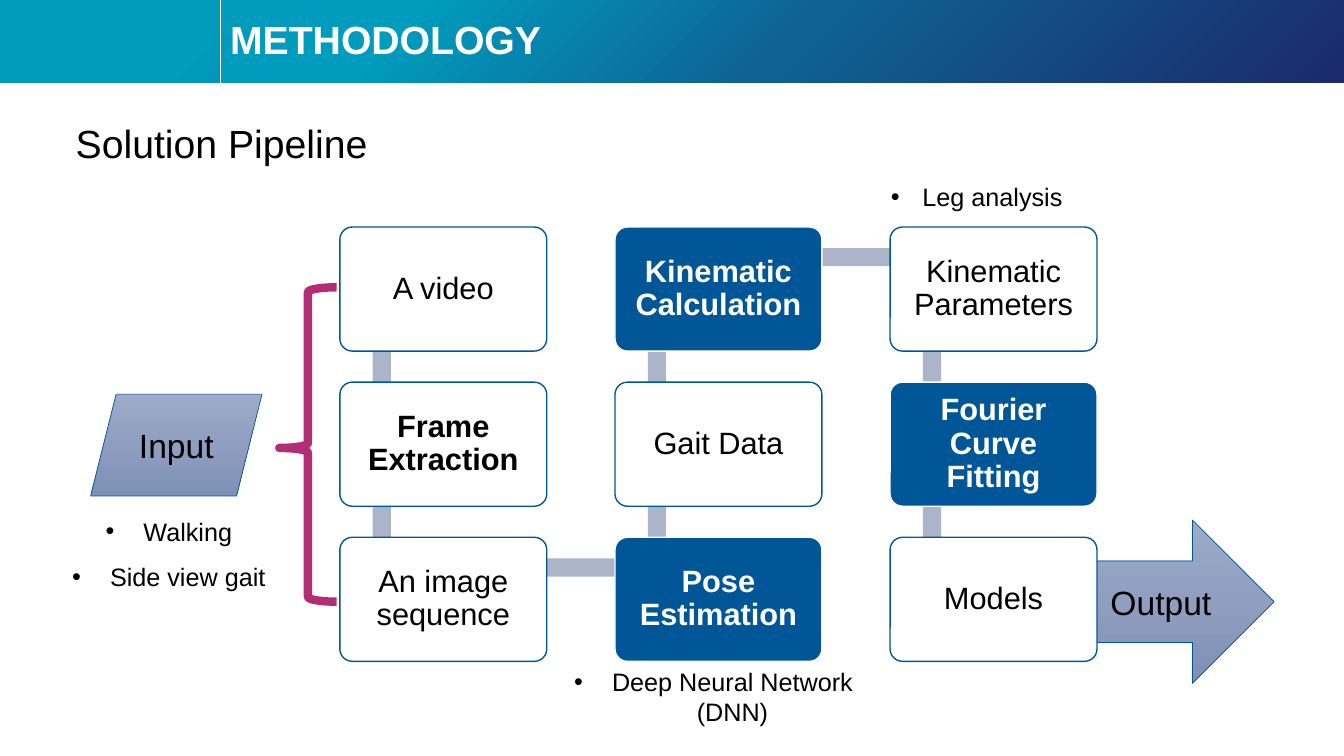
import pptx
import pptx.dml.color
import pptx.enum.shapes
import pptx.enum.text
import pptx.oxml
import pptx.oxml.ns
import pptx.util
from dataclasses import dataclass

Pt = pptx.util.Pt
SHAPE = pptx.enum.shapes.MSO_SHAPE
ALIGN = pptx.enum.text.PP_ALIGN
ANCHOR = pptx.enum.text.MSO_ANCHOR


@dataclass(frozen=True)
class Theme:
    font: str = "Arial"
    white: str = "FFFFFF"
    black: str = "000000"
    blue: str = "005697"
    pipe: str = "ABB4C9"
    brace: str = "B32C76"
    banner: tuple = ((17, "009BBD"), (50, "0E6394"), (100, "1B2A6B"))
    terminal: tuple = ((0, "9DABC9"), (50, "909FBF"), (100, "7C8FB6"))
    heading_size: int = 28
    terminal_size: int = 24
    card_size: int = 22
    note_size: int = 18


THEME = Theme()

SLIDE_WIDTH, SLIDE_HEIGHT = 960, 540
BANNER_HEIGHT, BANNER_SPLIT = 59, 157.3

GRID_LEFT, GRID_TOP = 242.8, 162.2
COLUMN_PITCH, ROW_PITCH = 196.5, 110.8
CARD_WIDTH, CARD_HEIGHT = 147.8, 88.6
ROWS = 3
PIPE_WIDTH = 13

# Steps in pipeline order; the flag marks a filled card, the next one bold text.
STEPS = (
    ("A video", False, False),
    ("Frame Extraction", False, True),
    ("An image sequence", False, False),
    ("Pose Estimation", True, True),
    ("Gait Data", False, False),
    ("Kinematic Calculation", True, True),
    ("Kinematic Parameters", False, False),
    ("Fourier Curve Fitting", True, True),
    ("Models", False, False),
)


def rgb(color):
    return pptx.dml.color.RGBColor.from_string(color)


def add_shape(slide, kind, frame, fill=None, line=None, line_width=1.0):
    shape = slide.shapes.add_shape(kind, *(Pt(length) for length in frame))
    shape.shadow.inherit = False
    if fill:
        shape.fill.solid()
        shape.fill.fore_color.rgb = rgb(fill)
    else:
        shape.fill.background()
    if line:
        shape.line.color.rgb = rgb(line)
        shape.line.width = Pt(line_width)
    else:
        shape.line.fill.background()
    return shape


def apply_gradient(shape, stops, angle):
    """Fill with (percent, colour) stops along a clockwise angle in degrees."""
    stop_xml = "".join(
        f'<a:gs pos="{percent * 1000}"><a:srgbClr val="{color}"/></a:gs>'
        for percent, color in stops
    )
    gradient = pptx.oxml.parse_xml(
        f'<a:gradFill {pptx.oxml.ns.nsdecls("a")} rotWithShape="1">'
        f'<a:gsLst>{stop_xml}</a:gsLst>'
        f'<a:lin ang="{angle * 60000}" scaled="0"/></a:gradFill>'
    )
    properties = shape.element.spPr
    properties.replace(properties.find(pptx.oxml.ns.qn("a:noFill")), gradient)


def write_text(shape, text, size, color=THEME.black, bold=False,
               align=ALIGN.CENTER, anchor=ANCHOR.MIDDLE, spacing=1.0):
    frame = shape.text_frame
    frame.word_wrap = True
    frame.vertical_anchor = anchor
    frame.text = text
    for para in frame.paragraphs:
        para.alignment = align
        para.line_spacing = spacing
        for span in para.runs:
            span.font.name = THEME.font
            span.font.size = Pt(size)
            span.font.bold = bold
            span.font.color.rgb = rgb(color)


def add_text(slide, frame, text, size, **style):
    box = slide.shapes.add_textbox(*(Pt(length) for length in frame))
    write_text(box, text, size, **style)
    return box


def add_bullets(slide, frame, lines, indent, align=ALIGN.CENTER, spacing=1.0):
    box = add_text(slide, frame, "\n".join(lines), THEME.note_size,
                   align=align, anchor=ANCHOR.TOP, spacing=spacing)
    for para in box.text_frame.paragraphs:
        properties = para._p.get_or_add_pPr()
        properties.set("marL", str(Pt(indent)))
        properties.set("indent", str(-Pt(indent)))
        for bullet in ('<a:buFont {} typeface="Arial"/>', '<a:buChar {} char="•"/>'):
            properties.append(
                pptx.oxml.parse_xml(bullet.format(pptx.oxml.ns.nsdecls("a"))))


def add_terminal(slide, kind, frame, text):
    terminal = add_shape(slide, kind, frame, line=THEME.blue, line_width=0.5)
    apply_gradient(terminal, THEME.terminal, 90)
    write_text(terminal, text, THEME.terminal_size)


def add_banner(slide):
    for left in (0, BANNER_SPLIT):
        band = add_shape(slide, SHAPE.RECTANGLE,
                         (left, 0, SLIDE_WIDTH - left, BANNER_HEIGHT))
        apply_gradient(band, THEME.banner, 45)
    divider = slide.shapes.add_connector(
        pptx.enum.shapes.MSO_CONNECTOR.STRAIGHT,
        Pt(BANNER_SPLIT), Pt(0), Pt(BANNER_SPLIT), Pt(70.5))
    divider.line.color.rgb = rgb(THEME.white)
    divider.line.width = Pt(0.5)
    divider.element.spPr.append(
        pptx.oxml.parse_xml(f'<a:effectLst {pptx.oxml.ns.nsdecls("a")}/>'))
    add_text(slide, (BANNER_SPLIT, 2, SLIDE_WIDTH - BANNER_SPLIT, 55), "METHODOLOGY",
             THEME.heading_size, color=THEME.white, bold=True,
             align=ALIGN.LEFT, spacing=0.9)


def card_corner(index):
    """Left and top of a step: down one column, up the next."""
    column, row = divmod(index, ROWS)
    if column % 2:
        row = ROWS - 1 - row
    return GRID_LEFT + column * COLUMN_PITCH, GRID_TOP + row * ROW_PITCH


def add_pipe(slide, index):
    """Link a step to the next one with a bar passing behind both cards."""
    left, top = card_corner(index)
    next_left, next_top = card_corner(index + 1)
    if left == next_left:
        frame = (left + 23.4, min(top, next_top) + 22, PIPE_WIDTH, ROW_PITCH)
    else:
        frame = (left + 30, top + 15, COLUMN_PITCH, PIPE_WIDTH)
    add_shape(slide, SHAPE.RECTANGLE, frame, THEME.pipe)


def add_card(slide, index):
    text, filled, bold = STEPS[index]
    fill, line = (THEME.blue, THEME.white) if filled else (THEME.white, THEME.blue)
    card = add_shape(slide, SHAPE.ROUNDED_RECTANGLE,
                     (*card_corner(index), CARD_WIDTH, CARD_HEIGHT), fill, line)
    card.adjustments[0] = 0.1
    frame = card.text_frame
    frame.margin_left = frame.margin_right = Pt(6.5)
    frame.margin_top = frame.margin_bottom = Pt(6.5)
    write_text(card, text, THEME.card_size, bold=bold, spacing=0.9,
               color=THEME.white if filled else THEME.black)


def add_pipeline(slide):
    for index in range(len(STEPS) - 1):
        add_pipe(slide, index)
    for index in range(len(STEPS)):
        add_card(slide, index)


def add_brace(slide):
    brace = add_shape(slide, SHAPE.LEFT_BRACE, (199.5, 205.2, 41, 224.6),
                      line=THEME.brace, line_width=6)
    brace.adjustments[0] = 0.083
    brace.adjustments[1] = 0.511


def main():
    deck = pptx.Presentation()
    deck.slide_width, deck.slide_height = Pt(SLIDE_WIDTH), Pt(SLIDE_HEIGHT)
    page = deck.slides.add_slide(deck.slide_layouts[6])
    add_banner(page)
    add_text(page, (47, 81.4, 533.5, 41), "Solution Pipeline", THEME.heading_size,
             align=ALIGN.LEFT, anchor=ANCHOR.TOP)
    add_terminal(page, SHAPE.RIGHT_ARROW, (777.6, 371.5, 132.5, 116.6), "Output")
    add_pipeline(page)
    add_brace(page)
    add_terminal(page, SHAPE.PARALLELOGRAM, (64.8, 281.5, 122.4, 72.7), "Input")
    add_bullets(page, (21.6, 354.2, 198, 68.4), ("Walking", "Side view gait"),
                27, spacing=1.5)
    add_bullets(page, (390.2, 472.3, 239, 51), ("Deep Neural Network (DNN)",), 27)
    add_bullets(page, (629.3, 126, 140.4, 28.8), ("Leg analysis",), 22.5,
                align=ALIGN.LEFT)
    deck.save("out.pptx")


if __name__ == "__main__":
    main()
